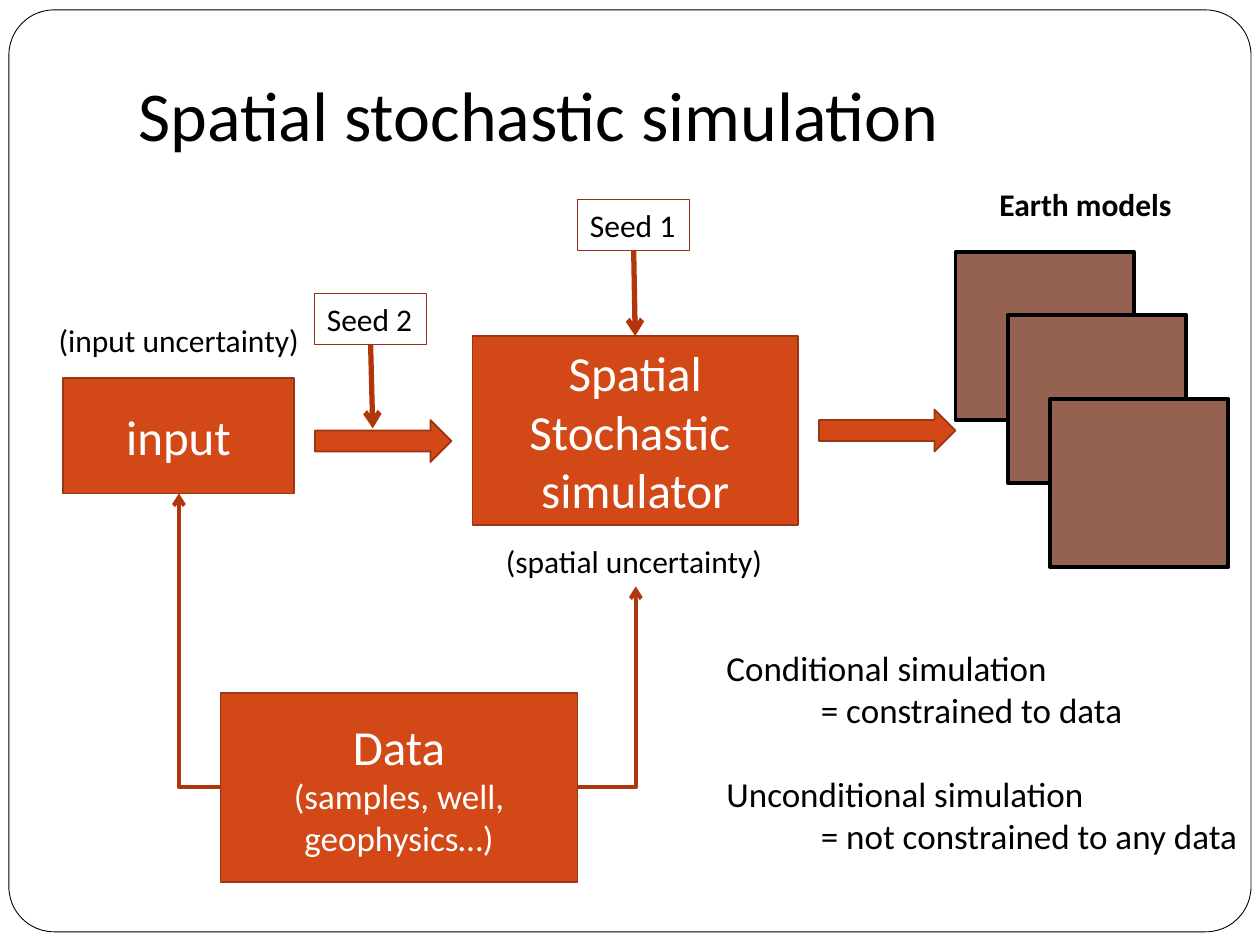
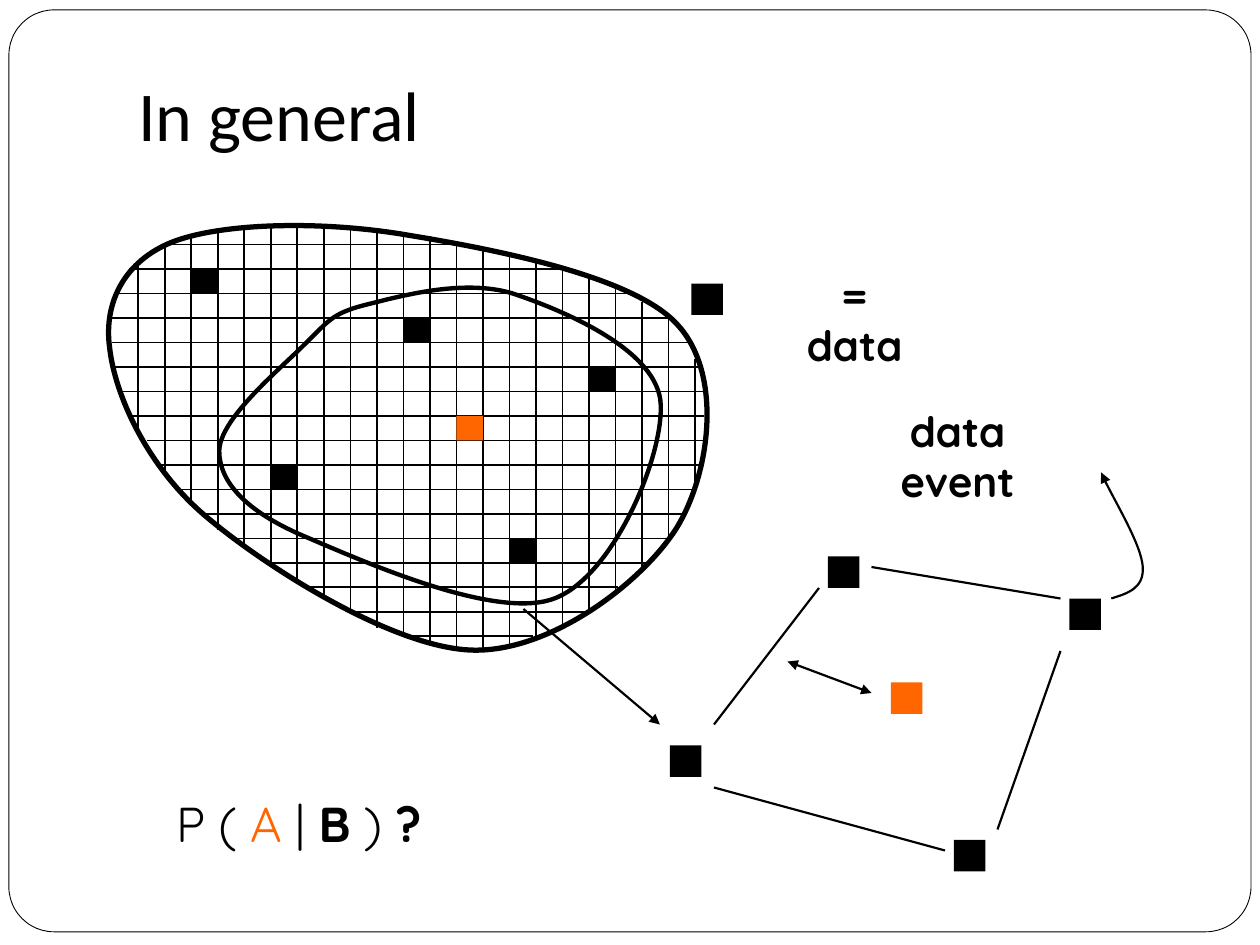
from lxml.etree import SubElement
from pptx import Presentation
from pptx.dml.color import RGBColor
from pptx.enum.shapes import MSO_CONNECTOR, MSO_SHAPE
from pptx.enum.text import MSO_ANCHOR, PP_ALIGN
from pptx.oxml.ns import qn
from pptx.util import Inches, Pt

U = Inches(1) / 12  # the slide is a grid of 120 columns by 90 rows
BLACK, WHITE, DATA_ORANGE = "000000", "FFFFFF", "FF6600"
BOX, BOX_EDGE, ARROW, SEED_EDGE, EARTH = "D34817", "9C3511", "B1360B", "9B2D1F", "956251"
RECT, LINE, ELBOW = MSO_SHAPE.RECTANGLE, MSO_CONNECTOR.STRAIGHT, MSO_CONNECTOR.ELBOW


def draw(s, kind, at, fill=None, line=None, width=1, head=None, tail=None):
    """Add a shape, a connector, a "text" box or a Bézier "curve" (at = its points in inches)."""
    if kind == "curve":
        points = [(int(Inches(x)), int(Inches(y))) for x, y in at]
        builder = s.shapes.build_freeform(*points[0])
        builder.add_line_segments(points[1:], close=at[0] == at[-1])
        sp = builder.convert_to_shape()
        segments = list(sp._element.iter(qn("a:lnTo")))
        for first, second, third in zip(*[iter(segments)] * 3):
            bezier = first.getparent().makeelement(qn("a:cubicBezTo"))
            first.addprevious(bezier)
            for segment in (first, second, third):
                bezier.append(segment[0])
                segment.getparent().remove(segment)
    else:
        at = [int(U * v) for v in at]
        if kind == "text":
            return s.shapes.add_textbox(*at)
        if isinstance(kind, MSO_CONNECTOR):
            sp = s.shapes.add_connector(kind, *at)
        else:
            sp = s.shapes.add_shape(kind, *at)
    if hasattr(sp, "fill"):
        sp.shadow.inherit = False
        if fill:
            sp.fill.solid()
            sp.fill.fore_color.rgb = RGBColor.from_string(fill)
        else:
            sp.fill.background()
    if line:
        sp.line.color.rgb = RGBColor.from_string(line)
        sp.line.width = Pt(width)
    else:
        sp.line.fill.background()
    spPr = sp._element.spPr
    for tag, end in (("a:headEnd", head), ("a:tailEnd", tail)):
        if end:
            SubElement(spPr.find(qn("a:ln")), qn(tag), type=end)
    if not hasattr(sp, "fill"):
        SubElement(spPr, qn("a:effectLst"))
    return sp


def write(sp, lines, size, color=BLACK, font="Calibri", bold=False, align=PP_ALIGN.LEFT,
          anchor=MSO_ANCHOR.TOP, wrap=False):
    tf = sp.text_frame
    tf.word_wrap = wrap
    tf.vertical_anchor = anchor
    tf.text = "\n".join(lines)
    for p in tf.paragraphs:
        p.alignment = align
        p.font.name, p.font.size, p.font.bold = font, Pt(size), bold
        p.font.color.rgb = RGBColor.from_string(color)
    return tf


prs = Presentation()
prs.slide_width, prs.slide_height = Inches(10), Inches(7.5)
blank = prs.slide_layouts[6]
slides = []
for title in ("Spatial stochastic simulation", "In general"):
    s = prs.slides.add_slide(blank)
    tf = write(draw(s, "text", (12, 1, 102, 15)), [title], 40,
               anchor=MSO_ANCHOR.BOTTOM, wrap=True)
    tf.margin_bottom = Inches(0.1)
    slides.append(s)

# The rounded frame belongs to the layout, so both slides share it
frame = draw(slides[0], MSO_SHAPE.ROUNDED_RECTANGLE, (0.85, 0.95, 118.3, 87.8), WHITE, BLACK, 0.5)
frame.adjustments[0] = 0.049
frame._element.nvSpPr.cNvPr.set("id", "20")
blank.shapes.element.append(frame._element)

# Slide 1: flow from data and seeds to earth models
s = slides[0]
boxes = []
for at, lines in (
    ((45, 32, 31, 18), ["Spatial", "Stochastic ", "simulator"]),
    ((6, 36, 22, 11), ["input"]),
    ((21, 66, 34, 18), ["Data", "(samples, well, geophysics…)"]),
):
    box = draw(s, RECT, at, BOX, BOX_EDGE)
    write(box, lines, 28, WHITE, align=PP_ALIGN.CENTER, anchor=MSO_ANCHOR.MIDDLE, wrap=True)
    boxes.append(box)
simulator, _, data = boxes
data.text_frame.paragraphs[1].font.size = Pt(20)

for name, x, y, target in (("Seed 1", 55, 19, None), ("Seed 2", 29.95, 27.95, (35.5, 40.8))):
    seed = draw(s, RECT, (x, y, 10.7, 4.85), line=SEED_EDGE, width=0.75)
    write(seed, [name], 18)
    c = draw(s, LINE, (x + 5, y + 5, *(target or (60.5, 32))), line=ARROW, width=3, tail="arrow")
    c.begin_connect(seed, 2)
    if not target:
        c.end_connect(simulator, 0)

for x, y in ((91, 24), (96, 30), (100, 38)):
    draw(s, RECT, (x, y, 17, 16), EARTH, BLACK, 2.25)
for x, y in ((30, 40), (78, 39)):
    draw(s, MSO_SHAPE.RIGHT_ARROW, (x, y, 13, 4), BOX, BOX_EDGE)
for route in ((21, 75, 17.05, 47), (55, 75, 60.55, 55.85)):
    c = draw(s, ELBOW, route, line=ARROW, width=2.25, tail="arrow")
    c._element.spPr.find(qn("a:prstGeom")).set("prst", "bentConnector2")

for text, at, bold in (
    ("Earth models", (94, 17, 19, 4.85), True),
    ("(spatial uncertainty)", (47, 51, 27.1, 4.85), False),
    ("(input uncertainty)", (4.4, 30, 25.6, 4.85), False),
):
    write(draw(s, "text", at), [text], 18, bold=bold)

tf = write(draw(s, "text", (68, 61, 52.2, 21.4)),
           ["Conditional simulation", "= constrained to data",
            "Unconditional simulation", "= not constrained to any data"], 20)
for p in tf.paragraphs[1::2]:
    p._p.get_or_add_pPr().set("marL", str(Inches(0.75)))
tf.paragraphs[2].space_before = Pt(24)

# Slide 2: gridded field, its search neighbourhood and the data event
s = slides[1]
field = [(0.87, 2.76), (0.91, 3.13), (1.17, 3.72), (1.66, 4.12), (2.14, 4.52), (3.14, 5.15),
         (3.76, 5.16), (4.38, 5.17), (5.1, 4.62), (5.37, 4.19), (5.64, 3.75), (5.74, 2.96),
         (5.37, 2.57), (5.01, 2.18), (3.87, 1.97), (3.2, 1.86), (2.53, 1.75), (1.76, 1.77),
         (1.37, 1.92), (0.99, 2.07), (0.82, 2.4), (0.87, 2.76)]
neighbourhood = [(2.9, 2.42), (2.62, 2.49), (2.6, 2.56), (2.4, 2.75), (2.21, 2.94),
                 (1.74, 3.33), (1.74, 3.58), (1.74, 3.83), (1.96, 4.06), (2.4, 4.25),
                 (2.85, 4.44), (3.93, 4.93), (4.4, 4.75), (4.88, 4.57), (5.29, 3.57),
                 (5.24, 3.17), (5.18, 2.76), (4.46, 2.46), (4.07, 2.33), (3.68, 2.21),
                 (3.18, 2.35), (2.9, 2.42)]
draw(s, "curve", field, WHITE, BLACK, 3)

# Mesh lines run between these ends, counted in thirds of a cell
X0, Y0 = 13.17, 23.3
COL, ROW = (66.2 - X0) / 21, (60.6 - Y0) / 16
tops = [2, 0, -1] + [-2] * 7 + [-1, -1, 0, 0.8, 1, 2, 3, 4, 5, 7, 9, 14]
bottoms = [23, 28, 32, 35, 37, 39, 41, 43, 45, 47, 48, 49, 49.5, 49.7, 49, 48, 47, 45, 43,
           40, 36, 30]
lefts = [3, -1, -2.6, -3, -3, -3, -2, -1, 1, 2, 4.3, 7, 10.5, 15, 19, 24, 30]
rights = [37, 48, 56, 60, 62.3, 63.5, 64, 64, 64, 64, 63, 62, 60, 57.4, 54.3, 50.6, 44.7]
for i, (top, bottom) in enumerate(zip(tops, bottoms)):
    x = X0 + i * COL
    draw(s, LINE, (x, Y0 + top * ROW / 3, x, Y0 + bottom * ROW / 3), line=BLACK)
for i, (left, right) in enumerate(zip(lefts, rights)):
    y = Y0 + i * ROW
    draw(s, LINE, (X0 + left * COL / 3, y, X0 + right * COL / 3, y), line=BLACK)
for col, row in ((17, 5), (2, 1), (5, 9), (10, 3), (14, 12), (12, 7)):
    color = DATA_ORANGE if (col, row) == (12, 7) else BLACK
    draw(s, RECT, (X0 + col * COL, Y0 + row * ROW, COL, ROW), color)
draw(s, "curve", neighbourhood, line=BLACK, width=2.5)

for x, y, color in ((65.85, 27, BLACK), (63.8, 71, BLACK), (78.85, 53, BLACK),
                    (90.85, 80, BLACK), (101.85, 57, BLACK), (84.85, 65, DATA_ORANGE)):
    draw(s, RECT, (x, y, 3, 3), color)
for ends, head, tail in (
    ((78, 56, 68, 69), None, None),
    ((68, 75, 90, 81), None, None),
    ((95, 79, 101, 62), None, None),
    ((83, 54, 101, 57), None, None),
    ((75, 63, 83, 66), "triangle", "triangle"),
    ((49.85, 58, 62.85, 69), None, "triangle"),
):
    draw(s, LINE, ends, line=BLACK, width=1.25, head=head, tail=tail)
draw(s, "curve", [(8.82, 4.75), (8.95, 4.71), (9.08, 4.67), (9.07, 4.5), (9.06, 4.33),
                  (8.79, 3.88), (8.74, 3.75)], line=BLACK, width=1.25, tail="triangle")

for text, at in (("= data", (74.3, 25, 14.2, 6.1)), ("data event", (80, 38, 22.4, 6))):
    tf = write(draw(s, "text", at), [text], 24, font="Quicksand", bold=True,
               align=PP_ALIGN.CENTER, wrap=True)
    tf.margin_left = tf.margin_right = Inches(0.15)

tf = write(draw(s, "text", (15, 75, 26.9, 6.8)), [""], 28, font="Quicksand",
           align=PP_ALIGN.CENTER)
for text, color, bold in (("P ( ", BLACK, False), ("A", DATA_ORANGE, False),
                          (" | ", BLACK, False), ("B", BLACK, True),
                          (" ) ", BLACK, False), ("?", BLACK, True)):
    r = tf.paragraphs[0].add_run()
    r.text, r.font.bold = text, bold
    r.font.color.rgb = RGBColor.from_string(color)

prs.save("out.pptx")
